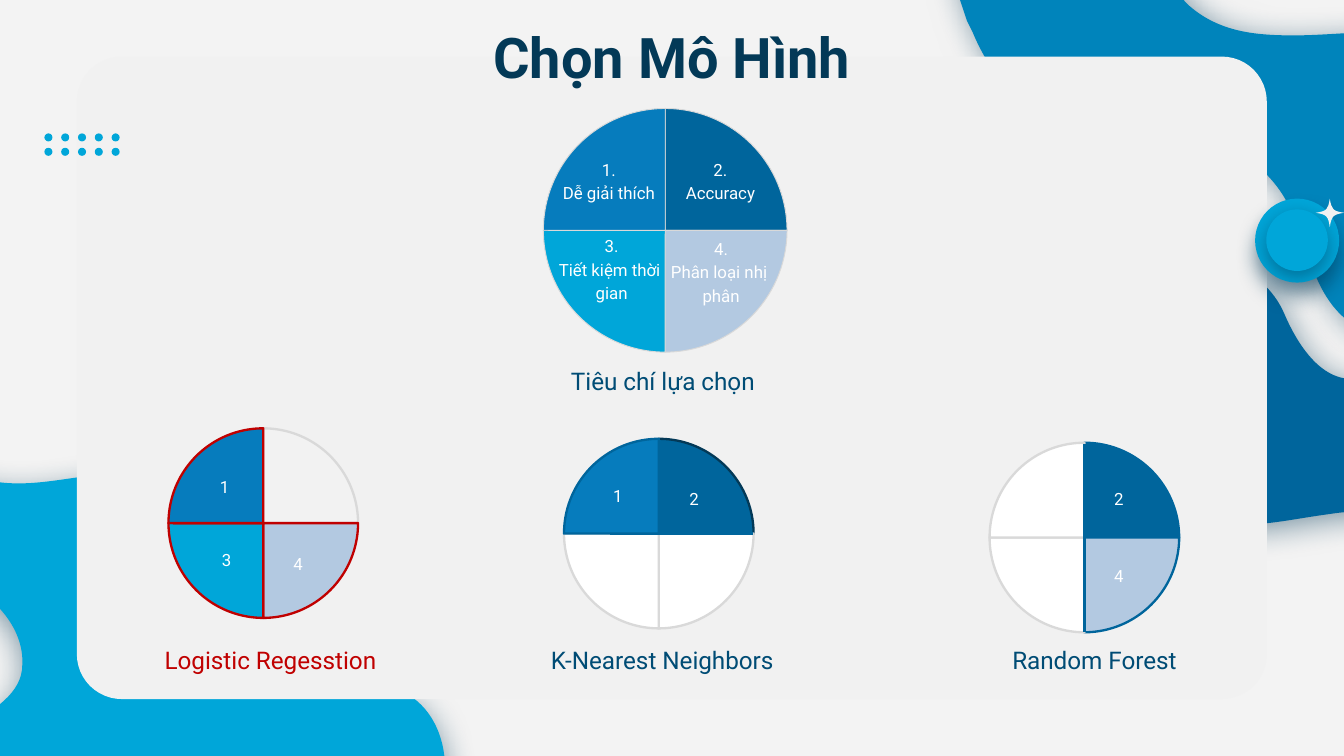
"""Build the model selection slide with criteria pies."""
from lxml.etree import SubElement
from pptx import Presentation
from pptx.chart.data import CategoryChartData
from pptx.dml.color import RGBColor
from pptx.enum.chart import XL_CHART_TYPE
from pptx.enum.shapes import MSO_CONNECTOR, MSO_SHAPE
from pptx.enum.text import MSO_ANCHOR, MSO_AUTO_SIZE, PP_ALIGN
from pptx.oxml.ns import qn
from pptx.util import Pt

COLORS = {
    "bg": "F3F3F3", "panel": "F1F1F1", "navy": "033957", "ink": "004C75",
    "deep": "00659C", "ocean": "0084BB", "blue": "067CBD", "sky": "00A6D9",
    "pale": "B3C9E1", "white": "FFFFFF", "empty": "F2F2F2",
    "grey": "D9D9D9", "red": "C00000",
}
FONT = "Roboto"

LEFT_BLOB = [
    (-40, 244), (-42, 244), (-44, 245), (-47, 246), (-58, 252), (-59, 271), (-54, 282),
    (-51, 288), (-48, 293), (-43, 298), (-37, 306), (-30, 307), (-22, 311),
    (-4, 318), (13, 336), (12, 356), (12, 372), (-4, 380), (-16, 389),
    (-37, 403), (-50, 425), (-50, 451), (-50, 464), (-45, 476), (-35, 485),
    (-26, 493), (-12, 499), (1, 499), (9, 499), (17, 497), (24, 492),
    (40, 482), (46, 461), (51, 444), (54, 433), (58, 423), (66, 416),
    (74, 408), (85, 405), (96, 405), (136, 408), (161, 441), (196, 451),
    (199, 451), (202, 452), (206, 452), (245, 452), (251, 383), (212, 369),
    (199, 364), (185, 363), (173, 358), (155, 351), (143, 337), (136, 319),
    (130, 302), (127, 283), (114, 270), (102, 257), (81, 254), (63, 254),
    (45, 254), (28, 259), (10, 259), (-1, 259), (-12, 257), (-21, 253),
    (-24, 251), (-28, 248), (-32, 246), (-35, 245), (-37, 244), (-40, 244),
]
RIGHT_BLOB = [
    (633, 135), (632, 135), (631, 135), (629, 135), (608, 136), (596, 147), (590, 161),
    (577, 192), (588, 236), (611, 259), (629, 276), (647, 281), (667, 281),
    (680, 281), (694, 278), (708, 276), (715, 275), (721, 274), (729, 274),
    (735, 274), (742, 275), (748, 276), (758, 279), (769, 285), (780, 285),
    (782, 285), (784, 285), (786, 284), (792, 282), (797, 278), (800, 272),
    (808, 256), (807, 236), (797, 221), (787, 205), (770, 203), (752, 203),
    (744, 203), (735, 203), (724, 203), (706, 203), (694, 182), (688, 168),
    (679, 147), (655, 135), (633, 135),
]
TOP_BLOB = [
    (551, -103), (539, -103), (528, -99), (521, -90), (500, -67), (506, -25), (515, 2),
    (516, 5), (517, 8), (518, 11), (519, 13), (520, 15), (521, 17),
    (528, 34), (539, 50), (555, 59), (574, 71), (598, 69), (619, 69),
    (645, 70), (672, 81), (687, 104), (701, 126), (701, 158), (725, 174),
    (734, 180), (744, 183), (754, 183), (774, 183), (793, 170), (806, 153),
    (824, 130), (835, 99), (825, 71), (819, 48), (799, 30), (778, 22),
    (767, 18), (755, 17), (743, 17), (726, 17), (709, 19), (693, 19),
    (672, 19), (653, 17), (637, 3), (617, -16), (619, -45), (608, -68),
    (600, -87), (574, -103), (551, -103),
]
SPARKLE = [
    (712.4, 106.5), (711.5, 112.3), (710.8, 113.1), (704.9, 114),
    (710.8, 115), (711.5, 115.7), (712.4, 121.6), (713.4, 115.7), (714.1, 115),
    (720, 114), (714.1, 113.1), (713.4, 112.3), (712.4, 106.5),
]


def rgb(name):
    return RGBColor.from_string(COLORS[name])


def paint(sp, color, shadow=None):
    sp.fill.solid()
    sp.fill.fore_color.rgb = rgb(color)
    sp.line.fill.background()
    sp.shadow.inherit = False
    if shadow:
        blur, dist, angle = shadow
        effects = sp._element.spPr.find(qn("a:effectLst"))
        outer = SubElement(effects, qn("a:outerShdw"), blurRad=str(Pt(blur)),
                           dist=str(Pt(dist)), dir=str(angle * 60000), rotWithShape="0")
        clr = SubElement(outer, qn("a:srgbClr"), val=COLORS["navy"])
        SubElement(clr, qn("a:alpha"), val="50000")


def add_curve(s, points, color, shadow=None):
    pts = [(Pt(x), Pt(y)) for x, y in points]
    builder = s.shapes.build_freeform(*pts[0])
    builder.add_line_segments(pts[3::3], close=True)
    sp = builder.convert_to_shape()
    segments = list(sp._element.spPr.iter(qn("a:lnTo")))
    for i, segment in enumerate(segments):
        segment.tag = qn("a:cubicBezTo")
        segment.remove(segment[0])
        for x, y in pts[3 * i + 1:3 * i + 4]:
            SubElement(segment, qn("a:pt"), x=str(x - sp.left), y=str(y - sp.top))
    paint(sp, color, shadow)


def add_preset(s, kind, box, color, shadow=None):
    sp = s.shapes.add_shape(kind, *map(Pt, box))
    paint(sp, color, shadow)
    return sp


def write(sp, lines, size, color, align=PP_ALIGN.LEFT, anchor=MSO_ANCHOR.TOP,
          spacing=1.15, bold=False):
    tf = sp.text_frame
    tf.word_wrap = True
    tf.auto_size = MSO_AUTO_SIZE.NONE
    tf.vertical_anchor = anchor
    tf.margin_left = tf.margin_right = tf.margin_top = tf.margin_bottom = Pt(7.2)
    tf.text = "\n".join(lines)
    for p in tf.paragraphs:
        p.alignment, p.line_spacing, p.space_before = align, spacing, Pt(0)
        p.font.name, p.font.size, p.font.bold = FONT, Pt(size), bold
        p.font.color.rgb = rgb(color)


def add_text(s, box, lines, size, color, **style):
    write(s.shapes.add_textbox(*map(Pt, box)), lines, size, color, **style)


def fill_placeholder(s, idx, box, lines, size, color, **style):
    sp = s.placeholders[idx]
    sp.left, sp.top, sp.width, sp.height = map(Pt, box)
    s.shapes._spTree.append(sp._element)
    write(sp, lines, size, color, **style)


def add_pie(s, box, diameter, slices, width):
    data = CategoryChartData()
    data.categories = ["1", "2", "3", "4"]
    data.add_series("Series 1", [25] * 4)
    chart = s.shapes.add_chart(XL_CHART_TYPE.PIE, *map(Pt, box), data).chart
    chart.has_title = chart.has_legend = False
    chart.font.name, chart.font.size = "Arial", Pt(10)
    chart.font.color.rgb = rgb("navy")
    plot = chart.plots[0]
    plot.vary_by_categories = True
    for i, (fill, line) in enumerate(slices):
        fmt = plot.series[0].points[i].format
        fmt.fill.solid()
        fmt.fill.fore_color.rgb = rgb(fill)
        fmt.line.color.rgb = rgb(line)
        fmt.line.width = Pt(width)
    area = chart._chartSpace.chart.plotArea
    for old in area.findall(qn("c:layout")):
        area.remove(old)
    layout = SubElement(area, qn("c:layout"))
    area.insert(0, layout)
    manual = SubElement(layout, qn("c:manualLayout"))
    w, h = diameter / box[2], diameter / box[3]
    for tag, val in (("layoutTarget", "inner"), ("xMode", "edge"), ("yMode", "edge"),
                     ("x", (1 - w) / 2), ("y", (1 - h) / 2), ("w", w), ("h", h)):
        SubElement(manual, qn(f"c:{tag}"), val=str(val))


def add_line(s, *ends):
    line = s.shapes.add_connector(MSO_CONNECTOR.STRAIGHT, *map(Pt, ends))
    line.line.color.rgb = rgb("deep")
    line.line.width = Pt(1.5)
    SubElement(line._element.spPr, qn("a:effectLst"))


def add_backdrop(s):
    s.background.fill.solid()
    s.background.fill.fore_color.rgb = rgb("bg")
    add_curve(s, LEFT_BLOB, "sky", (16.9, 4.5, 80))
    add_curve(s, RIGHT_BLOB, "deep", (16.9, 3, 71))
    add_curve(s, TOP_BLOB, "ocean", (16.9, 3.8, 44))
    panel = add_preset(s, MSO_SHAPE.ROUNDED_RECTANGLE, (41.2, 30.3, 637.5, 344.2), "panel")
    panel.adjustments[0] = 0.07


def add_ornaments(s):
    for row in range(2):
        for col in range(5):
            add_preset(s, MSO_SHAPE.OVAL, (23.8 + 9 * col, 71.5 + 7.7 * row, 4.3, 4.3), "sky")
    add_preset(s, MSO_SHAPE.OVAL, (672.4, 106.4, 45, 45), "sky", (11.2, 7.5, 90))
    add_preset(s, MSO_SHAPE.OVAL, (678.4, 112.2, 33, 33), "sky", (11.2, 3.8, 90))
    add_curve(s, SPARKLE, "panel")


def main():
    prs = Presentation()
    prs.slide_width, prs.slide_height = Pt(720), Pt(405)
    s = prs.slides.add_slide(prs.slide_layouts[4])
    for idx in (2, 4):
        sp = s.placeholders[idx]._element
        sp.getparent().remove(sp)
    add_backdrop(s)
    center = {"align": PP_ALIGN.CENTER}
    fill_placeholder(s, 0, (56.5, 5.1, 607, 45.4), ["Chọn Mô Hình"], 30, "navy",
                     spacing=1, bold=True, **center)
    fill_placeholder(s, 3, (81, 336.2, 128.2, 20.9), ["Logistic Regesstion"], 13, "red")
    add_ornaments(s)

    add_pie(s, (262.8, 48.2, 187.2, 150.5), 130.6,
            [(c, "grey") for c in ("deep", "pale", "sky", "blue")], 0.5)
    low = {"anchor": MSO_ANCHOR.BOTTOM, **center}
    fill_placeholder(s, 1, (292.3, 67, 67.7, 49), ["1.", "Dễ giải thích"], 9, "white", **low)
    for box, lines in (
        ((352.1, 67, 67.7, 49), ["2.", "Accuracy"]),
        ((340.6, 121.9, 91.4, 49), ["4.", "Phân loại nhị ", "phân"]),
        ((282, 120.4, 91.4, 49), ["3.", "Tiết kiệm thời ", "gian"]),
    ):
        add_text(s, box, lines, 9, "white", **low)

    blank = ("white", "grey")
    for left, top, slices in (
        (75.9, 219.8, [("empty", "grey"), ("pale", "red"), ("sky", "red"), ("blue", "red")]),
        (287.8, 225.4, [("deep", "navy"), blank, blank, ("blue", "deep")]),
        (515.8, 227.5, [("deep", "deep"), ("pale", "deep"), blank, blank]),
    ):
        add_pie(s, (left, top, 130.3, 121), 101.6, slices, 1.25)

    for left, top, digit in (
        (109.1, 246.5, "1"), (110.2, 285.8, "3"), (319.8, 251.3, "1"),
        (148.5, 288, "4"), (360.7, 253, "2"),
        (588.2, 253, "2"), (588.2, 294.5, "4"),
    ):
        add_text(s, (left, top, 22.3, 20.9), [digit], 9, "white", **center)

    add_line(s, 352.8, 285.8, 403.2, 285.8)
    add_line(s, 581.2, 237.6, 581.2, 338.4)

    for left, top, width, caption in (
        (535.2, 336.2, 128.2, "Random Forest"),
        (288, 336.2, 139.7, "K-Nearest Neighbors"),
        (298.8, 186.5, 115.9, "Tiêu chí lựa chọn"),
    ):
        add_text(s, (left, top, width, 20.9), [caption], 13, "ink")
    prs.save("out.pptx")


if __name__ == "__main__":
    main()
